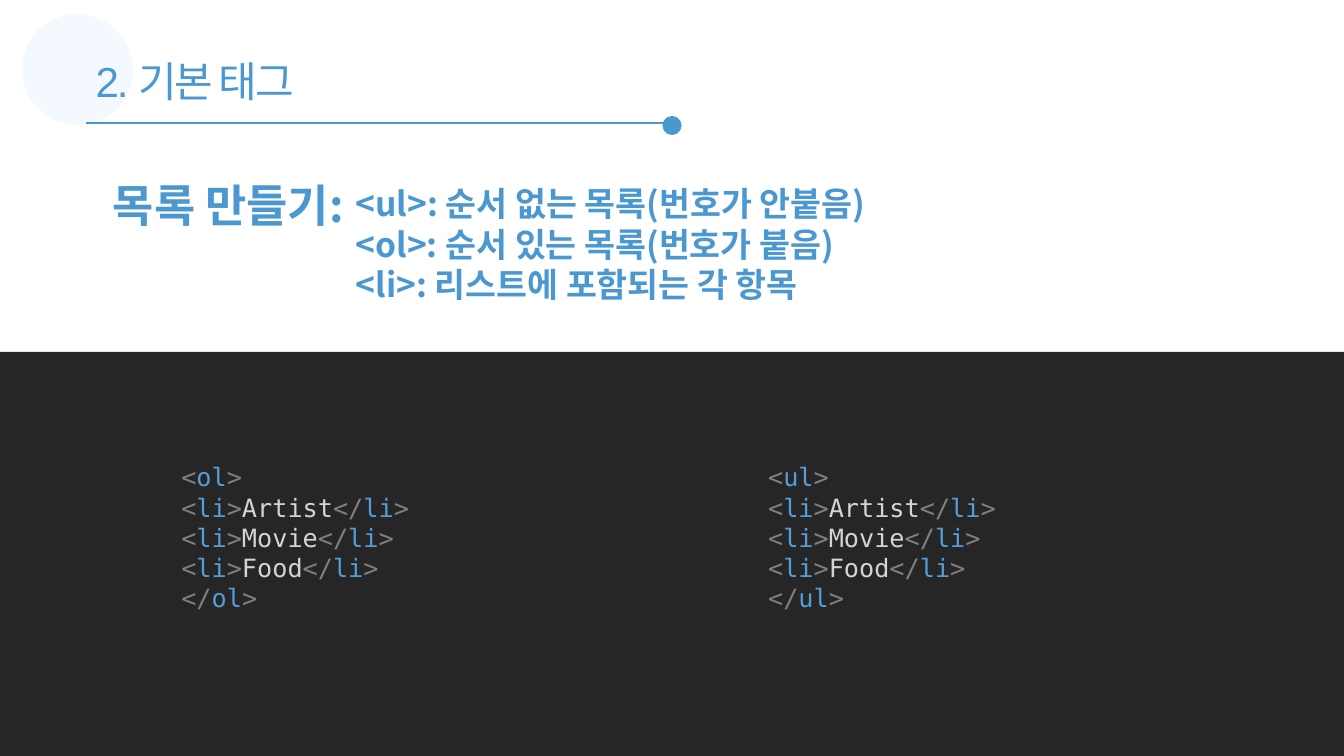
from lxml.etree import SubElement
from pptx import Presentation
from pptx.dml.color import RGBColor
from pptx.enum.shapes import MSO_CONNECTOR, MSO_SHAPE
from pptx.enum.text import MSO_AUTO_SIZE
from pptx.oxml.ns import qn
from pptx.util import Inches, Pt

BLUE = RGBColor(0x4B, 0x98, 0xD1)
PALE = RGBColor(0xF4, 0xF9, 0xFF)
DARK = RGBColor(0x26, 0x26, 0x26)
BRACKET = RGBColor(0x80, 0x80, 0x80)
TAG = RGBColor(0x56, 0x9C, 0xD6)
CONTENT = RGBColor(0xD4, 0xD4, 0xD4)
KOREAN = "Noto Sans CJK KR"
MONO = "DejaVu Sans Mono"


class SlideBuilder:
    def __init__(self, slide):
        self.slide = slide

    def shape(self, kind, left, top, width, height, fill):
        shape = self.slide.shapes.add_shape(
            kind, Inches(left), Inches(top), Inches(width), Inches(height))
        shape.shadow.inherit = False
        shape.fill.solid()
        shape.fill.fore_color.rgb = fill
        shape.line.fill.background()

    def rule(self, left, right, y):
        rule = self.slide.shapes.add_connector(
            MSO_CONNECTOR.STRAIGHT, Inches(left), Inches(y), Inches(right), Inches(y))
        rule.line.color.rgb = BLUE
        rule.line.width = Pt(1.5)
        SubElement(rule._element.spPr, qn("a:effectLst"))

    def text(self, left, top, width, height, lines, size, font,
             bold=False, leading=None, tracking=None):
        box = self.slide.shapes.add_textbox(
            Inches(left), Inches(top), Inches(width), Inches(height))
        frame = box.text_frame
        frame.word_wrap = True
        frame.auto_size = MSO_AUTO_SIZE.SHAPE_TO_FIT_TEXT
        for index, line in enumerate(lines):
            paragraph = frame.add_paragraph() if index else frame.paragraphs[0]
            if leading:
                paragraph.line_spacing = Pt(leading)
            for words, color in line:
                run = paragraph.add_run()
                run.text = words
                run.font.size = Pt(size)
                run.font.name = font
                run.font.bold = bold
                run.font.color.rgb = color
                properties = run.font._element
                SubElement(properties, qn("a:ea"), typeface=KOREAN)
                if tracking:
                    properties.set("spc", str(int(tracking * 100)))

    def code(self, left, list_tag):
        items = [
            tag("li") + [(word, CONTENT)] + tag("li", "</")
            for word in ("Artist", "Movie", "Food")
        ]
        lines = [tag(list_tag), *items, tag(list_tag, "</")]
        self.text(left, 4.53, 5.5, 1.62, lines, 18, MONO)


def tag(name, opening="<"):
    return [(opening, BRACKET), (name, TAG), (">", BRACKET)]


def main():
    deck = Presentation()
    deck.slide_width = Inches(13.33)
    deck.slide_height = Inches(7.5)
    builder = SlideBuilder(deck.slides.add_slide(deck.slide_layouts[6]))

    builder.shape(MSO_SHAPE.RECTANGLE, 0, 3.49, 13.33, 4.01, DARK)
    builder.shape(MSO_SHAPE.OVAL, 0.22, 0.14, 1.1, 1.1, PALE)
    builder.text(0.85, 0.5, 7.95, 0.61, [[("2. 기본 태그", BLUE)]],
                 30, "Arial", tracking=-1.5)
    builder.rule(0.85, 6.67, 1.22)
    builder.shape(MSO_SHAPE.OVAL, 6.57, 1.15, 0.19, 0.19, BLUE)

    builder.text(1.02, 1.71, 7.61, 0.64, [[("목록 만들기:", BLUE)]],
                 32, KOREAN, bold=True, leading=38.4)
    definitions = (
        "<ul>: 순서 없는 목록(번호가 안붙음)",
        "<ol>: 순서 있는 목록(번호가 붙음)",
        "<li>: 리스트에 포함되는 각 항목",
    )
    builder.text(3.43, 1.77, 6.67, 1.31, [[(line, BLUE)] for line in definitions],
                 24, KOREAN, bold=True, leading=28.8)

    for left, list_tag in ((1.7, "ol"), (7.52, "ul")):
        builder.code(left, list_tag)

    deck.save("out.pptx")


if __name__ == "__main__":
    main()
